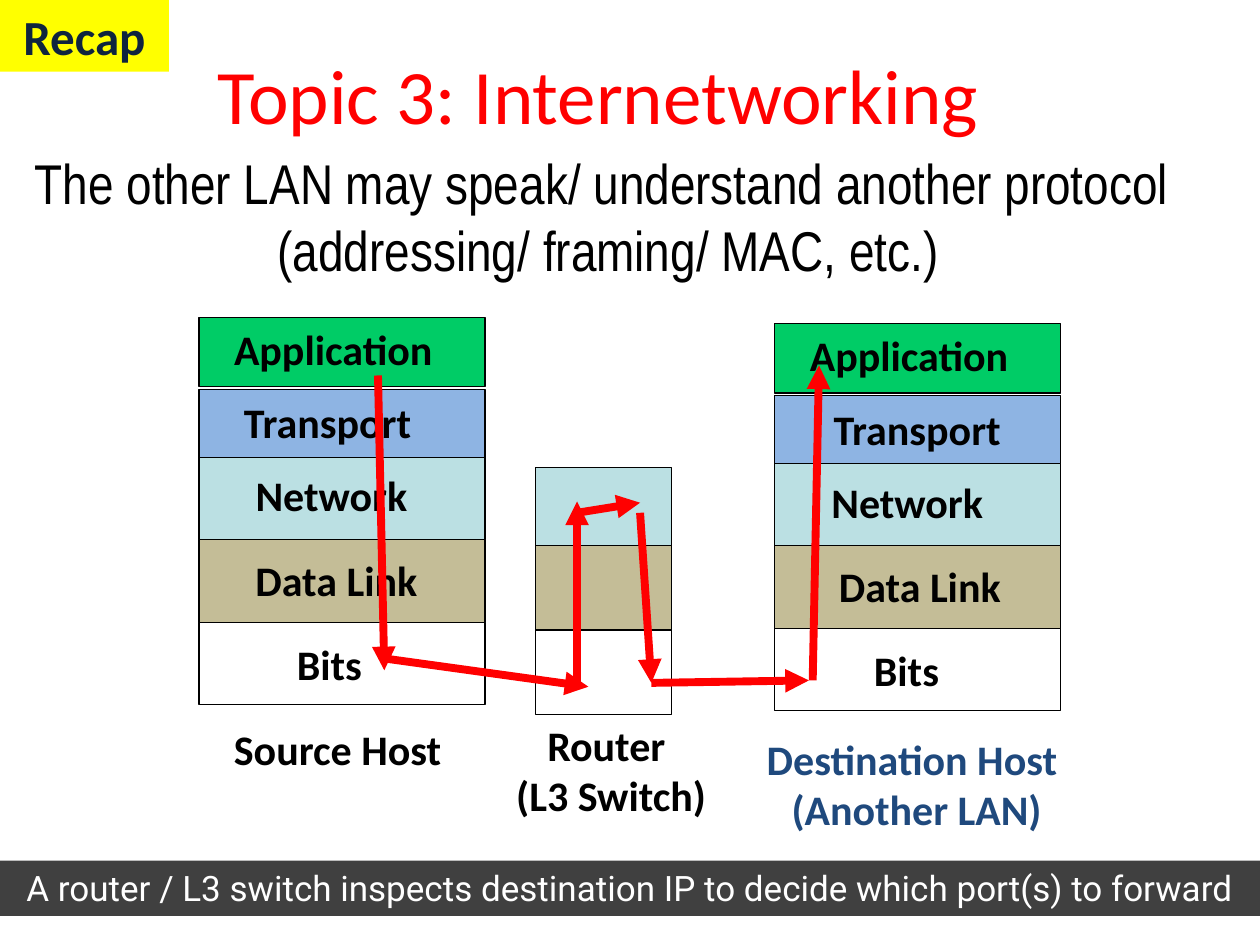
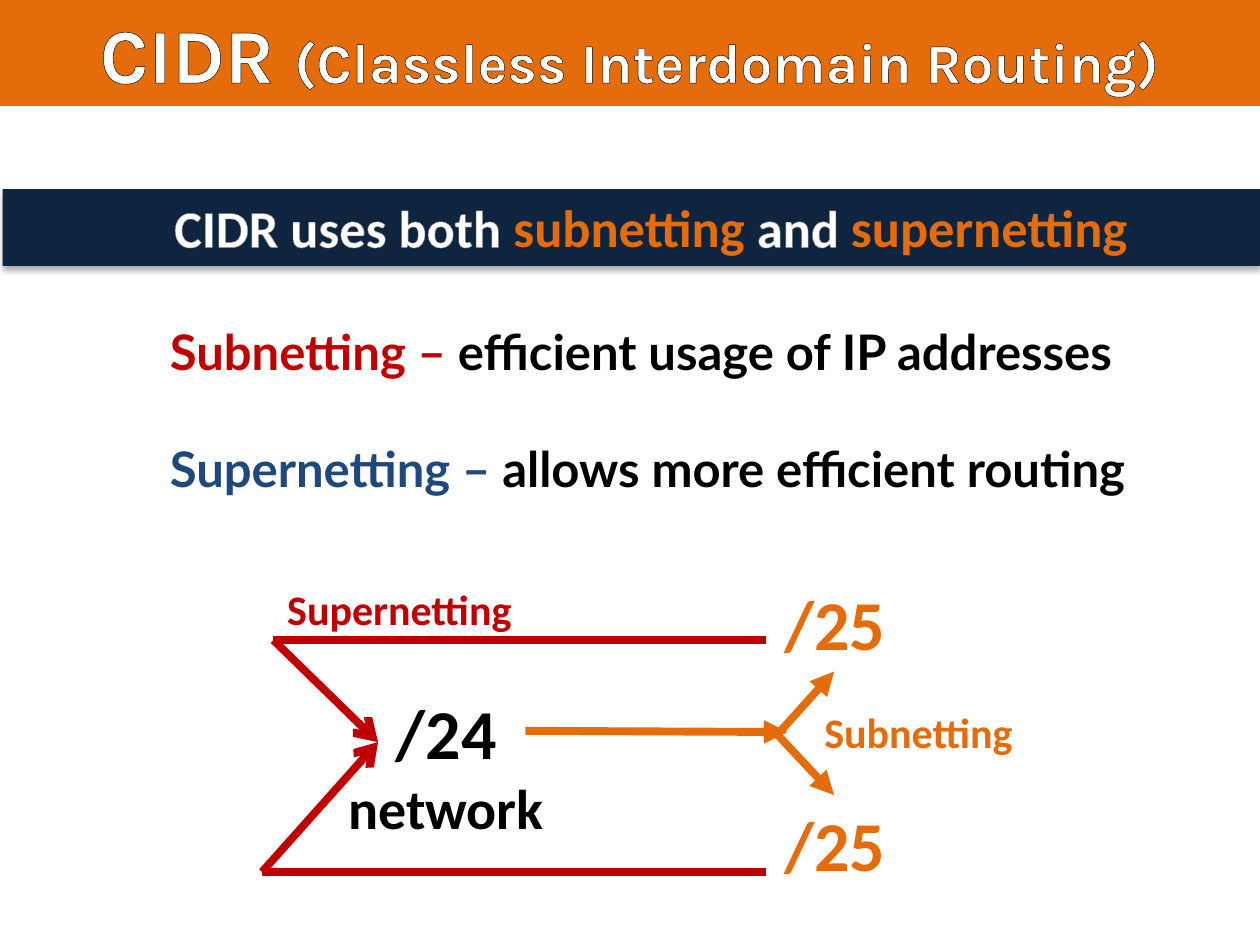
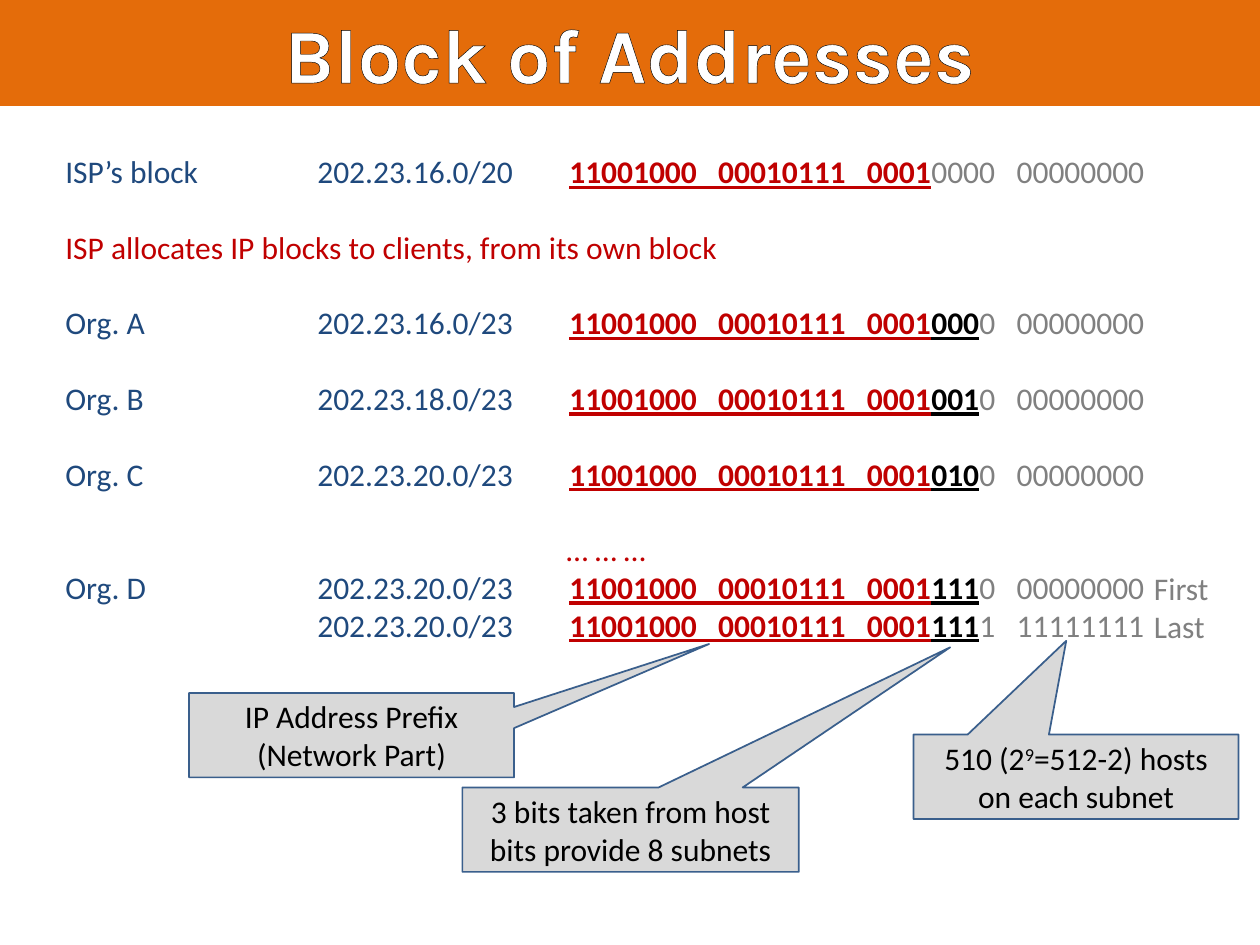
from lxml.etree import SubElement
from pptx import Presentation
from pptx.dml.color import RGBColor
from pptx.enum.shapes import MSO_CONNECTOR, MSO_SHAPE
from pptx.enum.text import MSO_ANCHOR, PP_ALIGN
from pptx.oxml import parse_xml
from pptx.oxml.ns import nsdecls, qn
from pptx.util import Pt

PX = 9144  # 100 px to the inch
WIDTH, HEIGHT = 1000, 750

# Shared colours
BLACK, WHITE, GREY = "000000", "FFFFFF", "808080"
RED, CRIMSON, ORANGE = "FF0000", "C00000", "E46C0A"
BLUE, NAVY, YELLOW = "1F497D", "0F243E", "FFFF00"
CALLOUT_FILL, CALLOUT_LINE = "D9D9D9", "3A5F8C"

# Slide 1: protocol layers as name, top, height, colour, label top, label width
LAYERS = [
    ("Application", 0, 55, "00CC66", 0, 179),
    ("Transport", 57, 55, "8EB4E3", 58, 154),
    ("Network", 111, 65, "BBE0E3", 116, 142),
    ("Data Link", 176, 66, "C4BD97", 183, 150),
    ("Bits", 242, 65, WHITE, 250, 73),
]
HOST_WIDTH = 227
HOSTS = [  # left, top, left offset of each layer label
    (615, 257, (17, 36, 34, 40, 68)),
    (158, 252, (17, 25, 34, 34, 67)),
]
ROUTER_LEFT, ROUTER_WIDTH, ROUTER_LAYER_HEIGHT = 425, 108, 67
ROUTER_TOPS = (371, 433, 500)
DEVICE_NAMES = [
    ((175, 569, 186, 50), ["Source Host"], BLACK),
    ((399, 566, 172, 91), ["Router ", "(L3 Switch)"], BLACK),
    ((597, 577, 261, 91), ["Destination Host ", "(Another LAN)"], BLUE),
]
PACKET_PATH = [
    (300, 298, 305, 532), (308, 523, 467, 545), (458, 542, 458, 398),
    (458, 407, 508, 399), (508, 407, 517, 542), (517, 542, 642, 540),
    (645, 540, 650, 290),
]
OTHER_LAN = ["The other LAN may speak/ understand another protocol ",
             "(addressing/ framing/ MAC, etc.)"]
FOOTER = "A router / L3 switch inspects destination IP to decide which port(s) to forward"

# Slide 2
CIDR_TITLE = [("CIDR ", {}), ("(Classless Interdomain Routing)", {"size": 32})]
CIDR_USES = [("CIDR uses both ", {}), ("subnetting ", {"color": ORANGE}),
             ("and ", {}), ("supernetting", {"color": ORANGE})]
BENEFITS = [
    [("Subnetting – ", {"color": CRIMSON}), ("efficient usage of IP addresses", {})],
    [("Supernetting – ", {"color": BLUE}), ("allows more efficient routing", {})],
]
NETWORK_LABELS = [
    ("/25", (600, 456, 125, 77), 40, ORANGE),
    ("/25", (600, 631, 125, 77), 40, ORANGE),
    ("Subnetting", (625, 556, 208, 50), 24, ORANGE),
    ("Supernetting", (217, 458, 200, 50), 24, CRIMSON),
]
NETWORK_LINES = [
    ((417, 580, 625, 581), ORANGE, "triangle"),
    ((617, 583, 662, 533), ORANGE, "triangle"),
    ((617, 583, 662, 631), ORANGE, "triangle"),
    ((608, 508, 217, 508), CRIMSON, None),
    ((608, 692, 208, 692), CRIMSON, None),
    ((208, 692, 300, 589), CRIMSON, "arrow"),
    ((217, 508, 300, 589), CRIMSON, "arrow"),
]

# Slide 3: owner, block, subnet bits, host bits, gap above in points
PREFIX = "11001000   00010111   0001"  # one underlined stretch, spaces included
ROW_GAP = 21.6
ISP_BLOCK = ("ISP’s block", "202.23.16.0/20", "", "0000\t00000000", 0)
ISP_NOTE = "ISP allocates IP blocks to clients, from its own block"
CLIENT_BLOCKS = [
    ("Org. A", "202.23.16.0/23", "000", "0\t00000000", ROW_GAP),
    ("Org. B", "202.23.18.0/23", "001", "0\t00000000", ROW_GAP),
    ("Org. C", "202.23.20.0/23", "010", "0\t00000000", ROW_GAP),
]
LAST_BLOCKS = [
    ("Org. D", "202.23.20.0/23", "111", "0\t00000000", 0),
    ("", "202.23.20.0/23", "111", "1\t11111111", 0),
]
BLOCK_TABS = (200, 400, 755)
CALLOUTS = [
    ((150, 550, 258, 67), (1.1, -1.08),
     [[("IP Address Prefix", {})], [("(Network Part)", {})]]),
    ((367, 625, 267, 67), (0.95, -2.16),
     [[("3 bits taken from host bits provide 8 subnets", {})]]),
    ((725, 583, 258, 67), (-0.03, -1.61),
     [[("510 (2", {}), ("9", {"raised": True}), ("=512-2) hosts on each subnet", {})]]),
]


def rgb(color):
    return RGBColor.from_string(color)


def add_run(paragraph, text, size=24, font="Calibri", color=BLACK, bold=False,
            underline=False, outline=None, raised=False):
    run = paragraph.add_run()
    run.text = text
    run.font.size, run.font.name = Pt(size), font
    run.font.bold, run.font.underline = bold, underline
    run.font.color.rgb = rgb(color)
    props = run._r.get_or_add_rPr()
    if raised:
        props.set("baseline", "30000")
    if outline:
        props.insert(0, parse_xml(
            f'<a:ln {nsdecls("a")} w="9525"><a:solidFill>'
            f'<a:srgbClr val="{outline}"/></a:solidFill></a:ln>'))


def write(shape, paragraphs, align=PP_ALIGN.CENTER, wrap=True,
          anchor=MSO_ANCHOR.TOP, gap=0, **style):
    """Fill a shape with paragraphs, each a string or a list of (text, style)."""
    frame = shape.text_frame
    frame.word_wrap, frame.vertical_anchor = wrap, anchor
    for i, runs in enumerate(paragraphs):
        paragraph = frame.add_paragraph() if i else frame.paragraphs[0]
        paragraph.alignment = align
        paragraph.space_before = Pt(gap if i else 0)
        for text, change in [(runs, {})] if isinstance(runs, str) else runs:
            add_run(paragraph, text, **{**style, **change})
    return shape


def add_box(slide, place, fill, line=None, width=0.75, kind=MSO_SHAPE.RECTANGLE):
    box = slide.shapes.add_shape(kind, *(v * PX for v in place))
    box.shadow.inherit = False
    box.fill.solid()
    box.fill.fore_color.rgb = rgb(fill)
    if line:
        box.line.color.rgb = rgb(line)
        box.line.width = Pt(width)
    else:
        box.line.fill.background()
    return box


def add_text(slide, place, paragraphs, **style):
    return write(slide.shapes.add_textbox(*(v * PX for v in place)), paragraphs, **style)


def add_line(slide, ends, color, head=None):
    line = slide.shapes.add_connector(MSO_CONNECTOR.STRAIGHT, *(v * PX for v in ends))
    line.line.color.rgb = rgb(color)
    line.line.width = Pt(4.5)
    if head:
        SubElement(line.line._get_or_add_ln(), qn("a:tailEnd"), type=head)
    SubElement(line._element.spPr, qn("a:effectLst"))


def add_title_band(slide, runs):
    write(add_box(slide, (0, 0, WIDTH, 84), ORANGE), [runs], size=44, font="Karla",
          color=WHITE, bold=True, outline=BLACK)


def build_internetworking(slide):
    # Host stacks
    for left, top, label_lefts in HOSTS:
        for (name, y, height, color, label_y, label_width), x in zip(LAYERS, label_lefts):
            add_box(slide, (left, top + y, HOST_WIDTH, height), color, BLACK)
            add_text(slide, (left + x, top + label_y, label_width, 50), [name],
                     wrap=False, bold=True)
    # Router stack: the three lower layers
    for top, layer in zip(ROUTER_TOPS, LAYERS[2:]):
        add_box(slide, (ROUTER_LEFT, top, ROUTER_WIDTH, ROUTER_LAYER_HEIGHT), layer[3], BLACK)
    for place, lines, color in DEVICE_NAMES:
        add_text(slide, place, lines, wrap=False, color=color, bold=True)
    for ends in PACKET_PATH:
        add_line(slide, ends, RED, "triangle")

    # Heading, footer and recap tag
    write(add_box(slide, (100, 33, 750, 84), WHITE), ["Topic 3: Internetworking"],
          size=44, color=RED, outline=BLACK)
    footer = write(add_box(slide, (0, 683, WIDTH, 44), BLACK), [FOOTER],
                   size=20, font="Roboto", color=WHITE)
    footer_color = footer._element.spPr.find(qn("a:solidFill"))[0]
    SubElement(footer_color, qn("a:alpha"), val="75000")
    add_text(slide, (-17, 113, WIDTH, 118), OTHER_LAN, size=32, font="Arial Narrow")
    write(add_box(slide, (0, 0, 134, 57), YELLOW), ["Recap"], size=28, color=NAVY, bold=True)


def build_cidr(slide):
    add_title_band(slide, CIDR_TITLE)
    # Statement band with a soft shadow below
    band = add_box(slide, (2, 150, 998, 61), NAVY)
    write(band, [CIDR_USES], size=30, color=WHITE, bold=True, outline=GREY)
    band.text_frame.margin_left = 41 * PX
    shadow = SubElement(band._element.spPr.find(qn("a:effectLst")), qn("a:outerShdw"),
                        blurRad=str(Pt(3.5)), dist=str(Pt(2.2)), dir="5400000", rotWithShape="0")
    shadow_color = SubElement(shadow, qn("a:srgbClr"), val=BLACK)
    SubElement(shadow_color, qn("a:alpha"), val="32000")
    add_text(slide, (125, 250, 792, 151), BENEFITS, align=PP_ALIGN.LEFT, gap=33.5,
             size=28, font="Lato", bold=True)

    # Splitting and joining networks
    for ends, color, head in NETWORK_LINES:
        add_line(slide, ends, color, head)
    for text, place, size, color in NETWORK_LABELS:
        add_text(slide, place, [text], size=size, color=color, bold=True, outline=BLACK)
    add_text(slide, (258, 542, 192, 131), ["/24", [("network", {"size": 32})]],
             size=40, bold=True)


def block_runs(owner, block, subnet, host, gap):
    fixed = {"bold": True, "underline": True}
    runs = [(f"{owner}\t{block}\t", {"color": BLUE}), (PREFIX, {"color": CRIMSON, **fixed})]
    if subnet:
        runs.append((subnet, fixed))
    return runs + [(host, {"color": GREY})]


def build_addresses(slide):
    add_title_band(slide, [("Block of Addresses", {})])
    # Address list on tab stops
    note = [(ISP_NOTE, {"color": CRIMSON})]
    dots = [("… … …", {"color": CRIMSON})]
    rows = [(block_runs(*ISP_BLOCK), 0), (note, ROW_GAP)]
    rows += [(block_runs(*block), block[-1]) for block in CLIENT_BLOCKS]
    rows += [(dots, ROW_GAP)]
    rows += [(block_runs(*block), block[-1]) for block in LAST_BLOCKS]
    blocks = add_text(slide, (42, 116, 878, 586), [runs for runs, _ in rows],
                      align=PP_ALIGN.LEFT, size=18)
    for paragraph, (runs, gap) in zip(blocks.text_frame.paragraphs, rows):
        paragraph.space_before = Pt(gap)
        if runs is dots:
            paragraph.alignment = PP_ALIGN.CENTER
        stops = SubElement(paragraph._p.get_or_add_pPr(), qn("a:tabLst"))
        for stop in BLOCK_TABS:
            SubElement(stops, qn("a:tab"), pos=str(stop * PX), algn="l")
    add_text(slide, (906, 447, 64, 71), ["First", "Last"], align=PP_ALIGN.LEFT,
             wrap=False, size=18, color=GREY)

    # Callouts under the bits they explain
    for place, pointer, lines in CALLOUTS:
        callout = add_box(slide, place, CALLOUT_FILL, CALLOUT_LINE, 1,
                          MSO_SHAPE.RECTANGULAR_CALLOUT)
        callout.adjustments[0], callout.adjustments[1] = pointer
        write(callout, lines, anchor=MSO_ANCHOR.MIDDLE, size=18)


def main():
    deck = Presentation()
    deck.slide_width, deck.slide_height = WIDTH * PX, HEIGHT * PX
    for build in (build_internetworking, build_cidr, build_addresses):
        build(deck.slides.add_slide(deck.slide_layouts[6]))
    deck.save("out.pptx")


if __name__ == "__main__":
    main()
